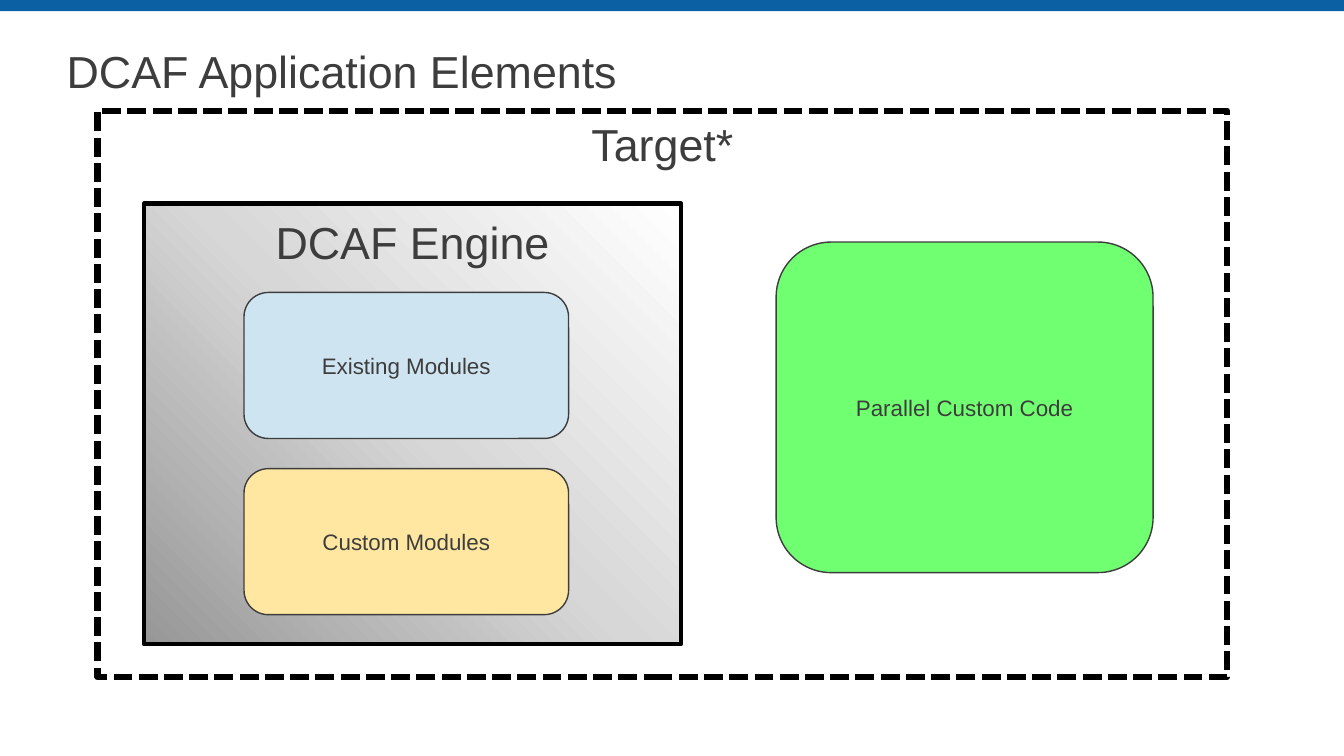
from copy import deepcopy

from pptx import Presentation
from pptx.dml.color import RGBColor
from pptx.enum import dml, shapes, text
from pptx.util import Cm, Pt

HUES = {
    "bar": "0A60A3", "ink": "3D3D3D", "edge": "000000", "white": "FFFFFF",
    "blue": "CFE4F1", "gold": "FFE7A1", "green": "70FF70",
    "dark": "979797", "mid": "D7D7D7",
}
RECT = shapes.MSO_SHAPE.RECTANGLE
ROUND = shapes.MSO_SHAPE.ROUNDED_RECTANGLE
TOP, MIDDLE = text.MSO_ANCHOR.TOP, text.MSO_ANCHOR.MIDDLE
LEFT, CENTER = text.PP_ALIGN.LEFT, text.PP_ALIGN.CENTER


def hue(name):
    return RGBColor.from_string(HUES[name])


def write(shape, words, size, align=CENTER, anchor=MIDDLE, inset=0.13):
    frame = shape.text_frame
    frame.word_wrap = True
    frame.vertical_anchor = anchor
    frame.margin_left = frame.margin_right = 0
    frame.margin_top = frame.margin_bottom = Cm(inset)
    para = frame.paragraphs[0]
    para.text = words
    para.alignment = align
    para.font.name = "Arial"
    para.font.size = Pt(size)
    para.font.color.rgb = hue("ink")
    return para


deck = Presentation()
deck.slide_width, deck.slide_height = Cm(33.87), Cm(19.05)
slide = deck.slides.add_slide(deck.slide_layouts[6])

# Top bar
bar = slide.shapes.add_shape(RECT, 0, 0, deck.slide_width, Cm(0.28))
bar.shadow.inherit = False
bar.fill.solid()
bar.fill.fore_color.rgb = hue("bar")
bar.line.fill.background()

# Title
title = slide.shapes.add_textbox(Cm(1.68), Cm(1.02), Cm(30.48), Cm(1.7))
write(title, "DCAF Application Elements", 32, LEFT).line_spacing = 0.9

# Boxes: words, form, place, fill, line colour, line width, text size, anchor, inset
boxes = [
    ("Target*", RECT, (2.46, 2.79, 28.47, 14.27), "white", "edge", 4.5, 32, TOP, 0.16),
    ("DCAF Engine", RECT, (3.63, 5.13, 13.54, 11.1), "mid", "edge", 3, 32, TOP, 0.27),
    ("Existing Modules", ROUND, (6.15, 7.37, 8.18, 3.68), "blue", "ink", 1, 16, MIDDLE, 0.13),
    ("Custom Modules", ROUND, (6.15, 11.81, 8.18, 3.68), "gold", "ink", 1, 16, MIDDLE, 0.13),
    ("Parallel Custom Code", ROUND, (19.56, 6.1, 9.5, 8.33), "green", "ink", 1, 16, MIDDLE, 0.13),
]
made = {}
for words, form, place, fill, edge, width, size, anchor, inset in boxes:
    box = slide.shapes.add_shape(form, *map(Cm, place))
    box.shadow.inherit = False
    box.fill.solid()
    box.fill.fore_color.rgb = hue(fill)
    box.line.color.rgb = hue(edge)
    box.line.width = Pt(width)
    write(box, words, size, anchor=anchor, inset=inset)
    made[words] = box

# Dashed target frame
made["Target*"].line.dash_style = dml.MSO_LINE.SQUARE_DOT

# Engine gradient, dark at lower left
fill = made["DCAF Engine"].fill
fill.gradient()
fill.gradient_angle = 45
first = fill._fill._gradFill.gsLst[0]
first.addnext(deepcopy(first))
for stop, name, spot in zip(fill.gradient_stops, ("dark", "mid", "white"), (0, 0.5, 1)):
    stop.color.rgb = hue(name)
    stop.position = spot

deck.save("out.pptx")
